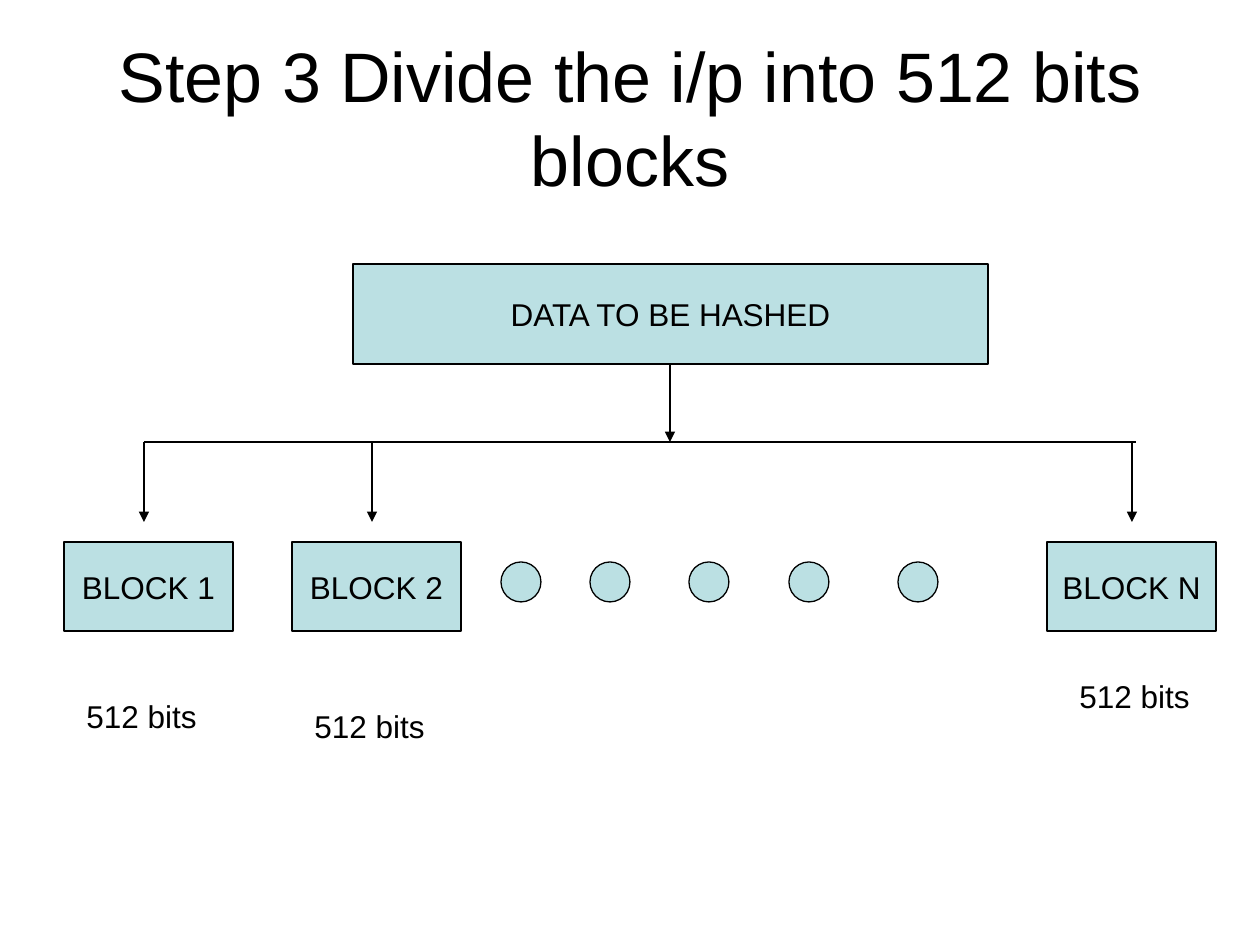
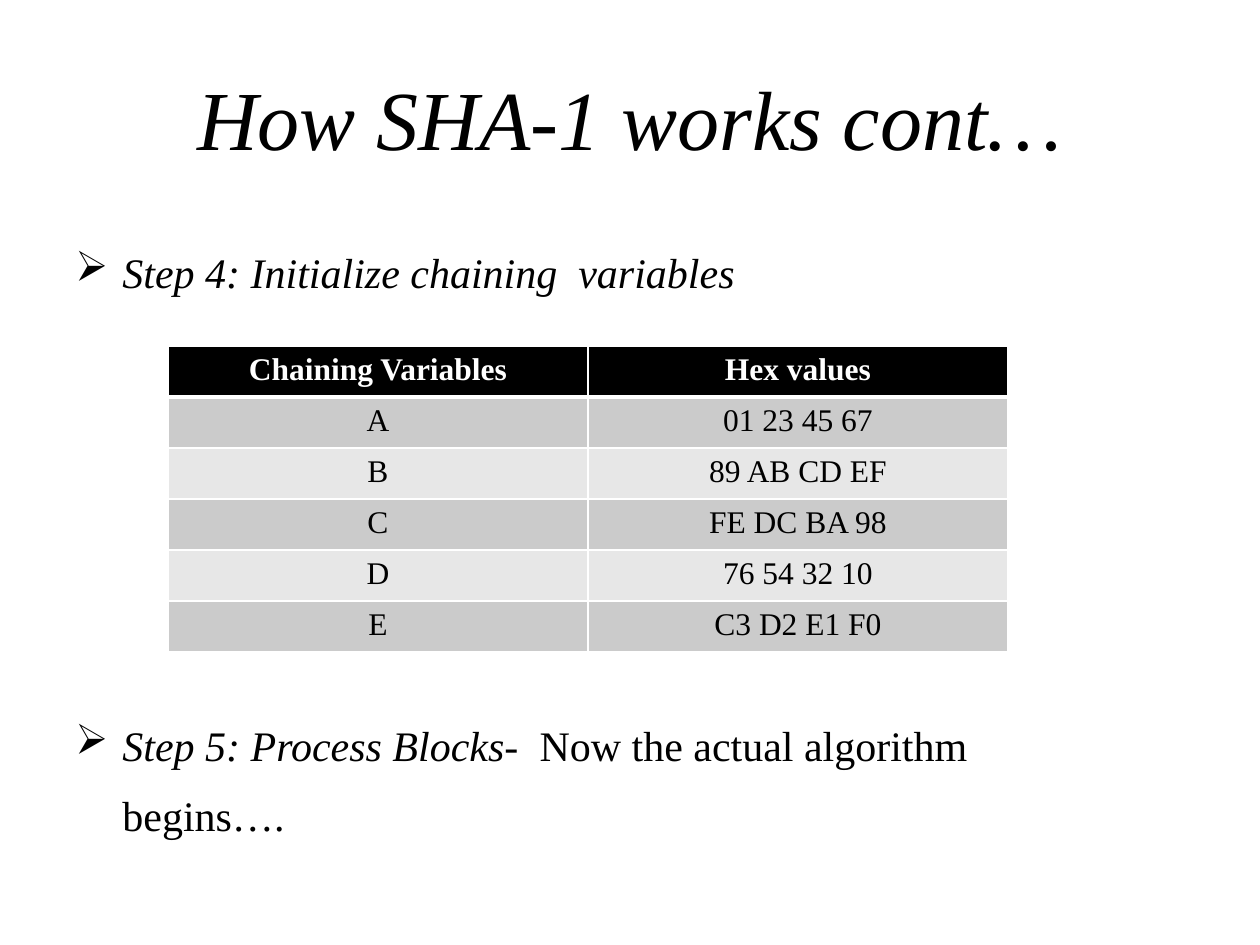
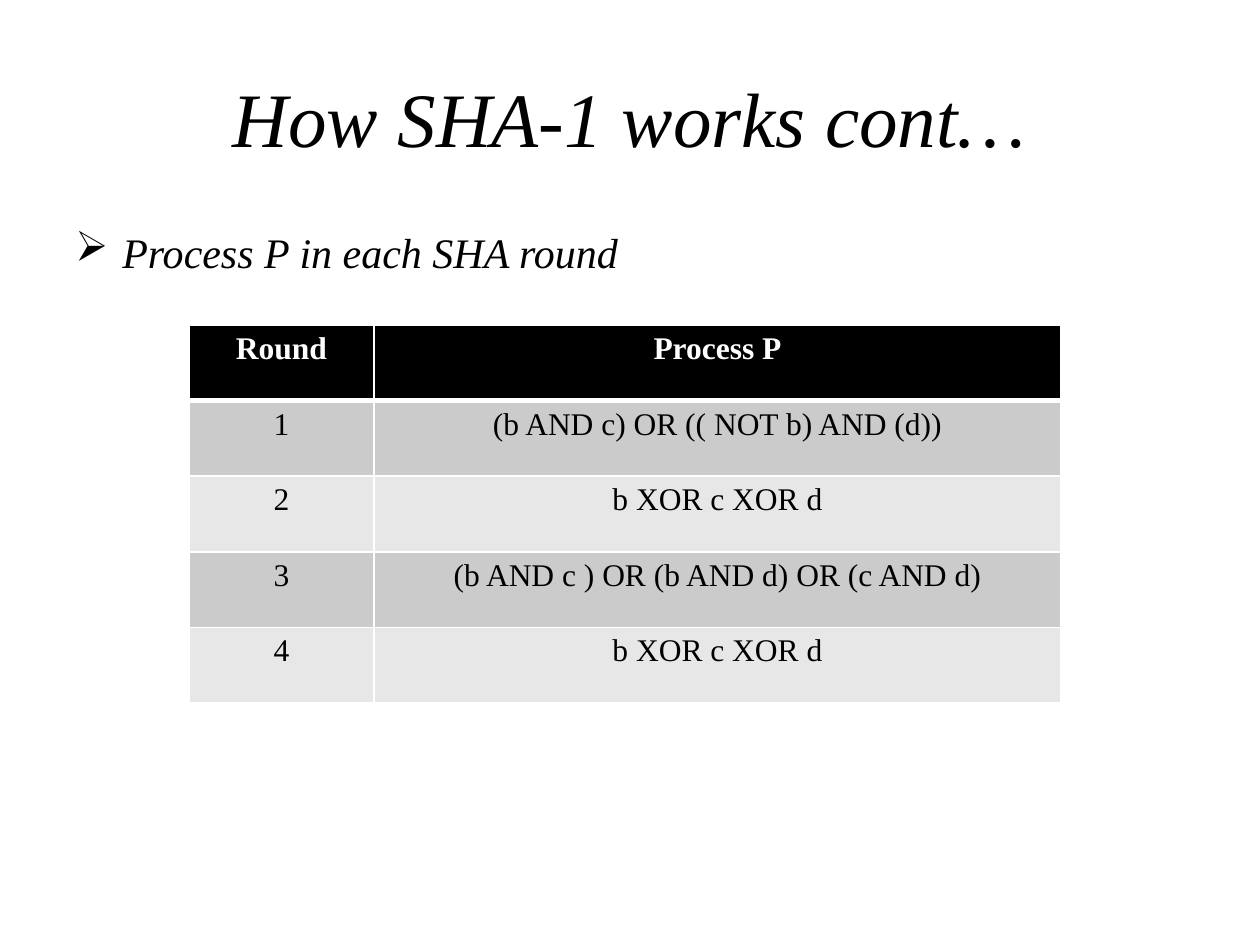
"""Build three slides on how SHA-1 splits and processes its input."""
from dataclasses import dataclass

from lxml.etree import SubElement
from pptx import Presentation
from pptx.dml.color import RGBColor
from pptx.enum.shapes import MSO_CONNECTOR, MSO_SHAPE
from pptx.enum.text import MSO_ANCHOR, PP_ALIGN
from pptx.oxml import parse_xml
from pptx.oxml.ns import nsdecls, qn
from pptx.util import Emu, Pt


@dataclass(frozen=True)
class Theme:
    ink: str = "000000"
    paper: str = "FFFFFF"
    box: str = "BBE0E3"
    bands: tuple = ("E7E7E7", "CBCBCB")
    sans: str = "Arial"
    serif: str = "Times New Roman"
    symbols: str = "Wingdings"
    label: int = 18
    body: int = 24
    line: float = 0.75
    rule: int = 1
    header_rule: int = 3


T = Theme()
SCALE = 914400 / 126
SLIDE = (1260, 945)
TITLE = (63, 38, 1134, 157)

DIVIDE = "Step 3 Divide the i/p into 512 bits blocks"
WORKS = "How SHA-1 works cont…"

SOURCE = ("DATA TO BE HASHED", (353, 264, 635, 100))
BUS = (144, 1136, 442)
DROP_END = 522
BLOCK_Y, BLOCK_W, BLOCK_H = 542, 169, 89
BLOCKS = [
    ("BLOCK 1", 64, 144, (74, 691)),
    ("BLOCK 2", 292, 372, (302, 701)),
    ("BLOCK N", 1047, 1132, (1067, 671)),
]
BLOCK_SIZE = "512 bits"
LABEL_W, LABEL_H = 136, 50
DOT_XS, DOT_Y, DOT_D = (501, 590, 689, 789, 898), 562, 40

STEPS = [
    [("Step 4: Initialize chaining  variables", True)],
    [("Step 5: Process Blocks- ", True), (" Now the actual algorithm begins….", False)],
]
ROUND_NOTE = [[("Process P in each SHA round", True)]]
BULLET, INDENT = "Ø", 47

CHAINING = [
    ("Chaining Variables", "Hex values"),
    ("A", "01 23 45 67"),
    ("B", "89 AB CD EF"),
    ("C", "FE DC BA 98"),
    ("D", "76 54 32 10"),
    ("E", "C3 D2 E1 F0"),
]
ROUNDS = [
    ("Round", "Process P"),
    ("1", "(b AND c) OR (( NOT b) AND (d))"),
    ("2", "b XOR c XOR d"),
    ("3", "(b AND c ) OR (b AND d) OR (c AND d)"),
    ("4", "b XOR c XOR d"),
]


def px(*values):
    return [Emu(round(v * SCALE)) for v in values]


def rgb(color):
    return RGBColor.from_string(color)


def style(font, size, face, color=T.ink, bold=False, italic=False):
    font.size, font.name = Pt(size), face
    font.bold, font.italic = bold, italic
    font.color.rgb = rgb(color)


def write(tf, text, size, face, align=PP_ALIGN.CENTER, **look):
    tf.text = text
    p = tf.paragraphs[0]
    p.alignment = align
    style(p.runs[0].font, size, face, **look)


def add_text(s, box):
    tf = s.shapes.add_textbox(*px(*box)).text_frame
    tf.word_wrap = True
    return tf


def add_title(s, text, size, face, italic=False):
    tf = add_text(s, TITLE)
    tf.vertical_anchor = MSO_ANCHOR.MIDDLE
    write(tf, text, size, face, italic=italic)


def add_box(s, kind, box, text=""):
    sp = s.shapes.add_shape(kind, *px(*box))
    sp.shadow.inherit = False
    sp.fill.solid()
    sp.fill.fore_color.rgb = rgb(T.box)
    sp.line.color.rgb = rgb(T.ink)
    sp.line.width = Pt(T.line)
    if text:
        sp.text_frame.vertical_anchor = MSO_ANCHOR.MIDDLE
        write(sp.text_frame, text, T.label, T.sans)


def add_line(s, ends, arrow=True):
    ln = s.shapes.add_connector(MSO_CONNECTOR.STRAIGHT, *px(*ends))
    ln.line.color.rgb = rgb(T.ink)
    ln.line.width = Pt(T.line)
    if arrow:
        SubElement(ln.line._get_or_add_ln(), qn("a:tailEnd"), type="triangle")
    SubElement(ln._element.spPr, qn("a:effectLst"))


def add_bullets(s, box, items, spacing=1.0, gap=0):
    tf = add_text(s, box)
    for i, parts in enumerate(items):
        p = tf.add_paragraph() if i else tf.paragraphs[0]
        p.line_spacing = spacing
        if i:
            p.space_before = Pt(gap)
        pPr = p._p.get_or_add_pPr()
        indent = px(INDENT)[0]
        pPr.set("marL", str(indent))
        pPr.set("indent", str(-indent))
        SubElement(SubElement(pPr, qn("a:buClr")), qn("a:srgbClr"), val=T.ink)
        SubElement(pPr, qn("a:buFont"), typeface=T.symbols, pitchFamily="2", charset="2")
        SubElement(pPr, qn("a:buChar"), char=BULLET)
        for text, italic in parts:
            r = p.add_run()
            r.text = text
            style(r.font, T.body, T.serif, italic=italic)


def add_borders(cell, top, bottom):
    widths = {"L": T.rule, "R": T.rule, "T": top, "B": bottom}
    for i, (side, width) in enumerate(widths.items()):
        cell._tc.get_or_add_tcPr().insert(i, parse_xml(
            f'<a:ln{side} {nsdecls("a")} w="{Pt(width)}"><a:solidFill>'
            f'<a:srgbClr val="{T.paper}"/></a:solidFill></a:ln{side}>'))


def add_grid(s, box, widths, rows):
    x, y, height = box
    size = px(x, y, sum(widths), height)
    table = s.shapes.add_table(len(rows), len(widths), *size).table
    for column, width in zip(table.columns, px(*widths)):
        column.width = width
    for i, row in enumerate(rows):
        head = i == 0
        for j, text in enumerate(row):
            cell = table.cell(i, j)
            cell.fill.solid()
            cell.fill.fore_color.rgb = rgb(T.ink if head else T.bands[i % 2])
            add_borders(cell, T.header_rule if i == 1 else T.rule,
                        T.header_rule if head else T.rule)
            write(cell.text_frame, text, T.label, T.serif,
                  color=T.paper if head else T.ink, bold=head)


def divide_slide(s):
    add_title(s, DIVIDE, 40, T.sans)
    name, box = SOURCE
    left, right, bus_y = BUS
    x, y, w, h = box
    add_box(s, MSO_SHAPE.RECTANGLE, box, name)
    add_line(s, (x + w // 2, y + h, x + w // 2, bus_y))
    add_line(s, (left, bus_y, right, bus_y), arrow=False)
    for name, x, drop_x, label_at in BLOCKS:
        add_line(s, (drop_x, bus_y, drop_x, DROP_END))
        add_box(s, MSO_SHAPE.RECTANGLE, (x, BLOCK_Y, BLOCK_W, BLOCK_H), name)
        tf = add_text(s, (*label_at, LABEL_W, LABEL_H))
        write(tf, BLOCK_SIZE, T.label, T.sans, PP_ALIGN.LEFT)
    for x in DOT_XS:
        add_box(s, MSO_SHAPE.OVAL, (x, DOT_Y, DOT_D, DOT_D))


def chaining_slide(s):
    add_title(s, WORKS, 48, T.serif, italic=True)
    add_bullets(s, (63, 220, 1029, 640), STEPS, spacing=1.4, gap=230)
    add_grid(s, (168, 346, 306), (420, 420), CHAINING)


def rounds_slide(s):
    add_title(s, WORKS, 44, T.serif, italic=True)
    add_bullets(s, (63, 220, 1134, 624), ROUND_NOTE)
    add_grid(s, (189, 325, 378), (185, 687), ROUNDS)


def main():
    prs = Presentation()
    prs.slide_width, prs.slide_height = px(*SLIDE)
    for build in (divide_slide, chaining_slide, rounds_slide):
        build(prs.slides.add_slide(prs.slide_layouts[6]))
    prs.save("out.pptx")


if __name__ == "__main__":
    main()
